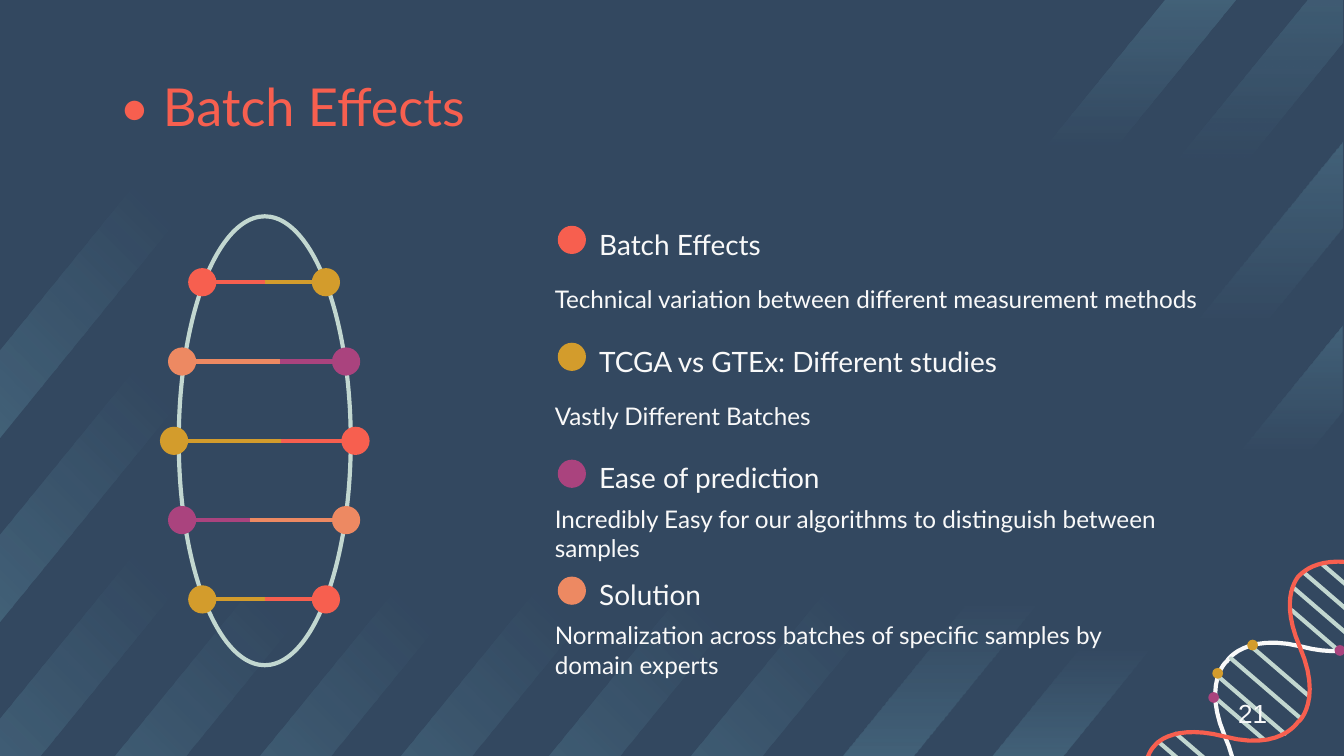
from dataclasses import dataclass

from lxml.etree import SubElement
from pptx import Presentation
from pptx.dml.color import RGBColor
from pptx.enum.shapes import MSO_CONNECTOR, MSO_SHAPE
from pptx.enum.text import MSO_ANCHOR, PP_ALIGN
from pptx.oxml.ns import qn
from pptx.util import Inches, Pt

COLUMNS, ROWS = 100, 56.25  # square grid cells
CURVE_STEPS = 12


@dataclass(frozen=True)
class Theme:
    background: str = "334860"
    stripe: str = "87D2E4"
    stripe_alpha: int = 18
    red: str = "F75F4F"
    gold: str = "D39C2C"
    purple: str = "AA437E"
    orange: str = "ED8962"
    mint: str = "C2D7D0"
    white: str = "F9F9F9"
    font: str = "Lato"
    number_font: str = "Arial"
    title_size: int = 28
    heading_size: int = 15
    number_size: int = 14
    body_size: int = 13
    line_width: float = 2.25


def set_values(target, values):
    for name, value in values.items():
        setattr(target, name, value)


def bezier_point(start, first, second, end, t):
    return tuple(
        (1 - t) ** 3 * a + 3 * (1 - t) ** 2 * t * b + 3 * (1 - t) * t ** 2 * c + t ** 3 * d
        for a, b, c, d in zip(start, first, second, end)
    )


class SlideBuilder:
    def __init__(self, presentation, theme):
        self.theme = theme
        self.cell = presentation.slide_width / COLUMNS
        self.slide = presentation.slides.add_slide(presentation.slide_layouts[6])
        fill = self.slide.background.fill
        fill.solid()
        fill.fore_color.rgb = RGBColor.from_string(theme.background)

    def lengths(self, *cells):
        return [round(cell * self.cell) for cell in cells]

    def style(self, shape, fill=None, line=None):
        shape.shadow.inherit = False
        if fill:
            shape.fill.solid()
            shape.fill.fore_color.rgb = RGBColor.from_string(fill)
        else:
            shape.fill.background()
        if line:
            self.stroke(shape.line, line)
        else:
            shape.line.fill.background()

    def stroke(self, line, color):
        line.color.rgb = RGBColor.from_string(color)
        line.width = Pt(self.theme.line_width)

    def text(self, text, box, size, color, font=None, align=PP_ALIGN.LEFT,
             anchor=MSO_ANCHOR.MIDDLE, margin=1):
        frame = self.slide.shapes.add_textbox(*self.lengths(*box)).text_frame
        side, edge = self.lengths(1, margin)
        set_values(frame, {
            "word_wrap": True, "vertical_anchor": anchor,
            "margin_left": side, "margin_right": side,
            "margin_top": edge, "margin_bottom": edge,
        })
        paragraph = frame.paragraphs[0]
        paragraph.alignment = align
        run = paragraph.add_run()
        run.text = text
        set_values(run.font, {"size": Pt(size), "name": font or self.theme.font})
        run.font.color.rgb = RGBColor.from_string(color)

    def ellipse(self, box, fill=None, line=None):
        shape = self.slide.shapes.add_shape(MSO_SHAPE.OVAL, *self.lengths(*box))
        self.style(shape, fill, line)

    def dot(self, center_x, center_y, color, size=2.1):
        self.ellipse((center_x - size / 2, center_y - size / 2, size, size), color)

    def line(self, start, end, color, cap="flat"):
        connector = self.slide.shapes.add_connector(
            MSO_CONNECTOR.STRAIGHT, *self.lengths(*start, *end))
        self.stroke(connector.line, color)
        properties = connector.element.spPr
        properties.find(qn("a:ln")).set("cap", cap)
        SubElement(properties, qn("a:effectLst"))

    def outline(self, points, close):
        first, *others = [self.lengths(*point) for point in points]
        builder = self.slide.shapes.build_freeform(*first)
        builder.add_line_segments(others, close=close)
        return builder.convert_to_shape()

    def curve(self, start, segments, color):
        """Draw an open line through joined cubic Bezier segments."""
        points = [start]
        for first, second, end in segments:
            origin = points[-1]
            points += [bezier_point(origin, first, second, end, step / CURVE_STEPS)
                       for step in range(1, CURVE_STEPS + 1)]
        self.style(self.outline(points, close=False), line=color)

    def stripe(self, points, stops, angle):
        """Draw a band that fades; stops are (percent, alpha percent) pairs."""
        shape = self.outline(points, close=True)
        self.style(shape)
        no_fill = shape.element.spPr.find(qn("a:noFill"))
        gradient = no_fill.getparent().makeelement(qn("a:gradFill"), {"rotWithShape": "1"})
        no_fill.getparent().replace(no_fill, gradient)
        stop_list = SubElement(gradient, qn("a:gsLst"))
        for position, alpha in stops:
            stop = SubElement(stop_list, qn("a:gs"), pos=str(position * 1000))
            color = SubElement(stop, qn("a:srgbClr"), val=self.theme.stripe)
            SubElement(color, qn("a:alpha"), val=str(alpha * 1000))
        SubElement(gradient, qn("a:lin"), ang=str(angle * 60000), scaled="0")


def draw_stripes(builder):
    alpha = builder.theme.stripe_alpha

    def corner_band(left, top):
        return [(left + x, top + y) for x, y in ((10.1, 0), (0, 12.4), (0, 18.9), (15.4, 0))]

    def edge_band(left, top, bottom):
        return [(99.9, top), (left, bottom), (left + 5.3, bottom), (99.9, top + 6.4)]

    both_ends = [(0, alpha), (29, 0), (75, 0), (100, alpha)]
    builder.stripe(corner_band(76.6, 0), [(0, alpha), (58, 0), (100, 0)], 90)
    builder.stripe(edge_band(84.9, -3.2, 15.2), [(0, alpha), (82, 0), (100, 0)], 90)
    builder.stripe(edge_band(73.8, 24.2, 56.3), both_ends, 90)
    builder.stripe(edge_band(62.6, 10.5, 56.3), both_ends, 90)
    bottom = [(left, 43.8) for left in (51.5, 8.6, 19.4, 29.9, 40.9)]
    side = [(0, top) for top in (41.1, 27.4, 13.7)]
    for left, top in bottom + side:
        builder.stripe(corner_band(left, top), [(0, alpha), (84, 0), (100, 0)], 315)


def draw_corner_helix(builder):
    theme = builder.theme
    white_strand = [
        ((102, 36.6), (100.2, 38.3), (101.8, 42.1)), ((103.3, 45.5), (102.3, 47.1), (102, 47.5)),
        ((101.6, 47.9), (100.2, 49), (96.8, 48.1)), ((92.7, 47.1), (91.3, 49.1), (91.3, 49.2)),
        ((91.2, 49.2), (89.5, 50.9), (91.1, 54.7)), ((92.6, 58.1), (91.6, 59.6), (91.2, 60)),
        ((90.9, 60.4), (89.5, 61.6), (86, 60.7)), ((81.9, 59.8), (80.5, 61.7), (80.5, 61.8)),
    ]
    red_strand = [
        ((107.3, 41.2), (106, 43.2), (101.8, 42.1)), ((98.3, 41.2), (97, 42.5), (96.6, 42.9)),
        ((96.3, 43.3), (95.3, 44.8), (96.7, 48.1)), ((98.4, 52), (96.7, 53.7), (96.6, 53.7)),
        ((96.5, 53.8), (95.2, 55.9), (91.1, 54.8)), ((87.6, 53.9), (86.2, 55.1), (85.9, 55.5)),
        ((85.5, 55.9), (84.5, 57.4), (86, 60.7)), ((87.7, 64.7), (85.9, 66.3), (85.8, 66.3)),
    ]
    rungs = [(91.6, 49, 5.1), (86.2, 55.2, 5.2), (87.5, 54.6, 4.3), (96.1, 45.4, 3.5),
             (96.2, 43.7, 5), (97, 42.6, 5.3), (98.4, 42, 4.3), (90.4, 51.9, 3.6),
             (90.6, 50.3, 5), (93.1, 48.1, 4.3)]
    builder.curve((102, 36.6), white_strand, theme.white)
    for left, top, run in rungs:
        builder.line((left, top), (left + run, top + 0.86 * run), theme.mint, cap="rnd")
    builder.curve((107.4, 41.2), red_strand, theme.red)
    for x, y, color in ((99.7, 48.4, theme.purple), (90.3, 51.9, theme.purple),
                        (93.2, 48, theme.gold), (90.6, 50.1, theme.gold)):
        builder.dot(x, y, color, size=0.8)


def draw_topics(builder):
    theme = builder.theme
    topics = [
        ("Batch Effects", 14.5, theme.red,
         "Technical variation between different measurement methods", 52.6),
        ("TCGA vs GTEx: Different studies", 43.2, theme.gold, "Vastly Different Batches", 55.2),
        ("Ease of prediction", 30.3, theme.purple,
         "Incredibly Easy for our algorithms to distinguish between samples", 49.5),
        ("Solution", 14.5, theme.orange,
         "Normalization across batches of specific samples by domain experts", 43.9),
    ]
    for index, (heading, heading_width, color, body, body_width) in enumerate(topics):
        top = 16.1 + 8.7 * index
        builder.text(heading, (43.6, top, heading_width, 4.1), theme.heading_size, theme.white)
        builder.text(body, (40.3, top + 3.4, body_width, 5.5), theme.body_size, theme.white)
        builder.dot(42.55, top + 1.75, color)


def draw_oval_helix(builder):
    theme = builder.theme
    rungs = [  # left, split, right, left color, right color
        (15.05, 19.7, 24.25, theme.red, theme.gold),
        (13.55, 20.8, 25.75, theme.orange, theme.purple),
        (12.95, 20.9, 26.45, theme.gold, theme.red),
        (13.55, 18.6, 25.75, theme.purple, theme.orange),
        (15.05, 19.7, 24.25, theme.gold, theme.red),
    ]
    placed = [(21 + 5.9 * index, *rung) for index, rung in enumerate(rungs)]
    for y, left, split, right, left_color, right_color in placed:
        builder.line((left, y), (split, y), left_color)
        builder.line((split, y), (right, y), right_color)
    builder.ellipse((13.3, 16.1, 12.8, 33.4), line=theme.mint)
    for y, left, _, right, left_color, right_color in placed:
        builder.dot(left, y, left_color)
        builder.dot(right, y, right_color)


def main():
    presentation = Presentation()
    set_values(presentation, {"slide_width": Inches(10), "slide_height": Inches(ROWS / 10)})
    theme = Theme()
    builder = SlideBuilder(presentation, theme)
    draw_stripes(builder)
    draw_corner_helix(builder)
    builder.text("• Batch Effects", (7.9, 4.5, 84.3, 6.5), theme.title_size, theme.red,
                 anchor=MSO_ANCHOR.TOP)
    draw_topics(builder)
    draw_oval_helix(builder)
    builder.text("21", (90.8, 51.4, 4.8, 3.4), theme.number_size, theme.white, theme.number_font,
                 PP_ALIGN.CENTER, MSO_ANCHOR.TOP, margin=0.5)
    presentation.save("out.pptx")


if __name__ == "__main__":
    main()
